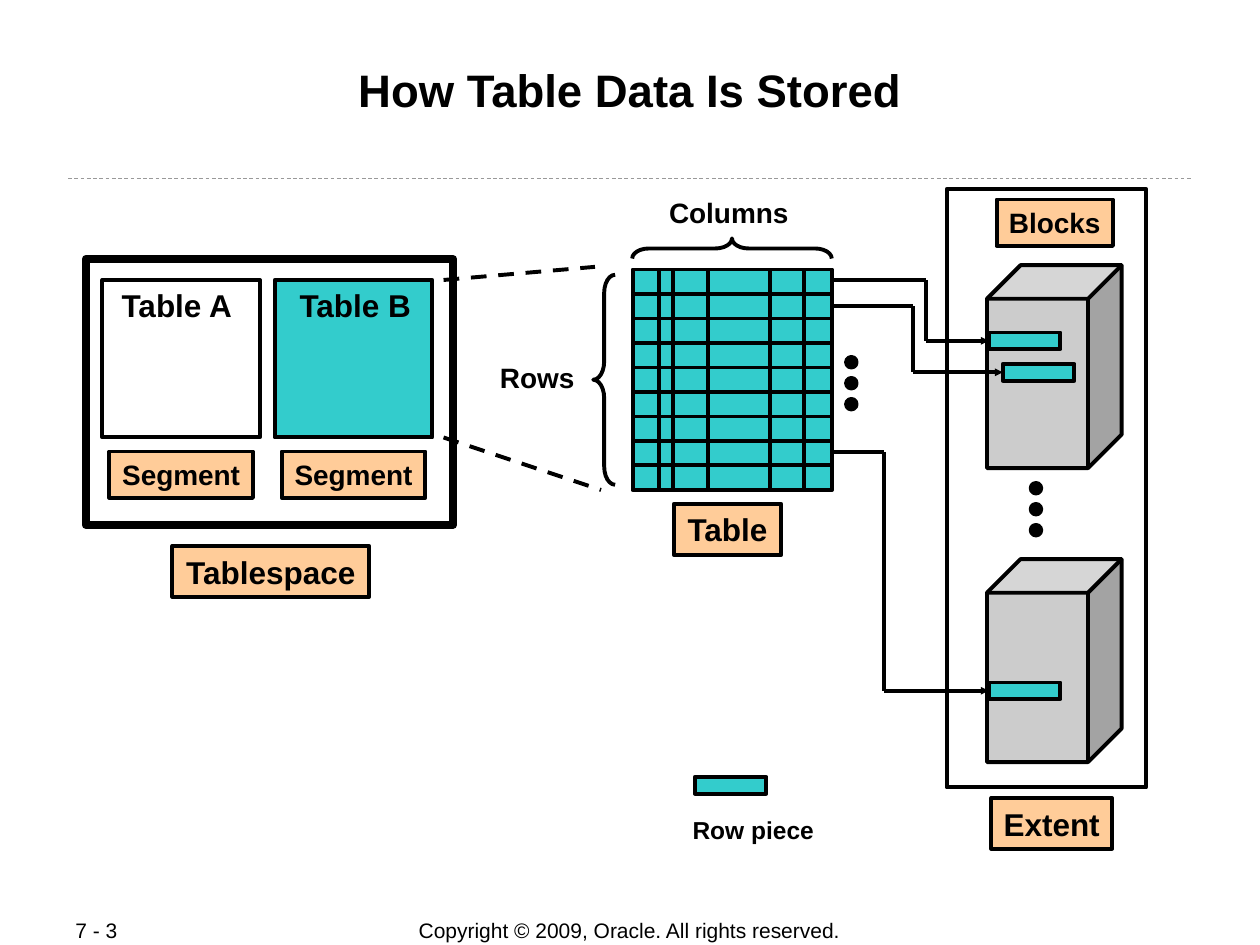
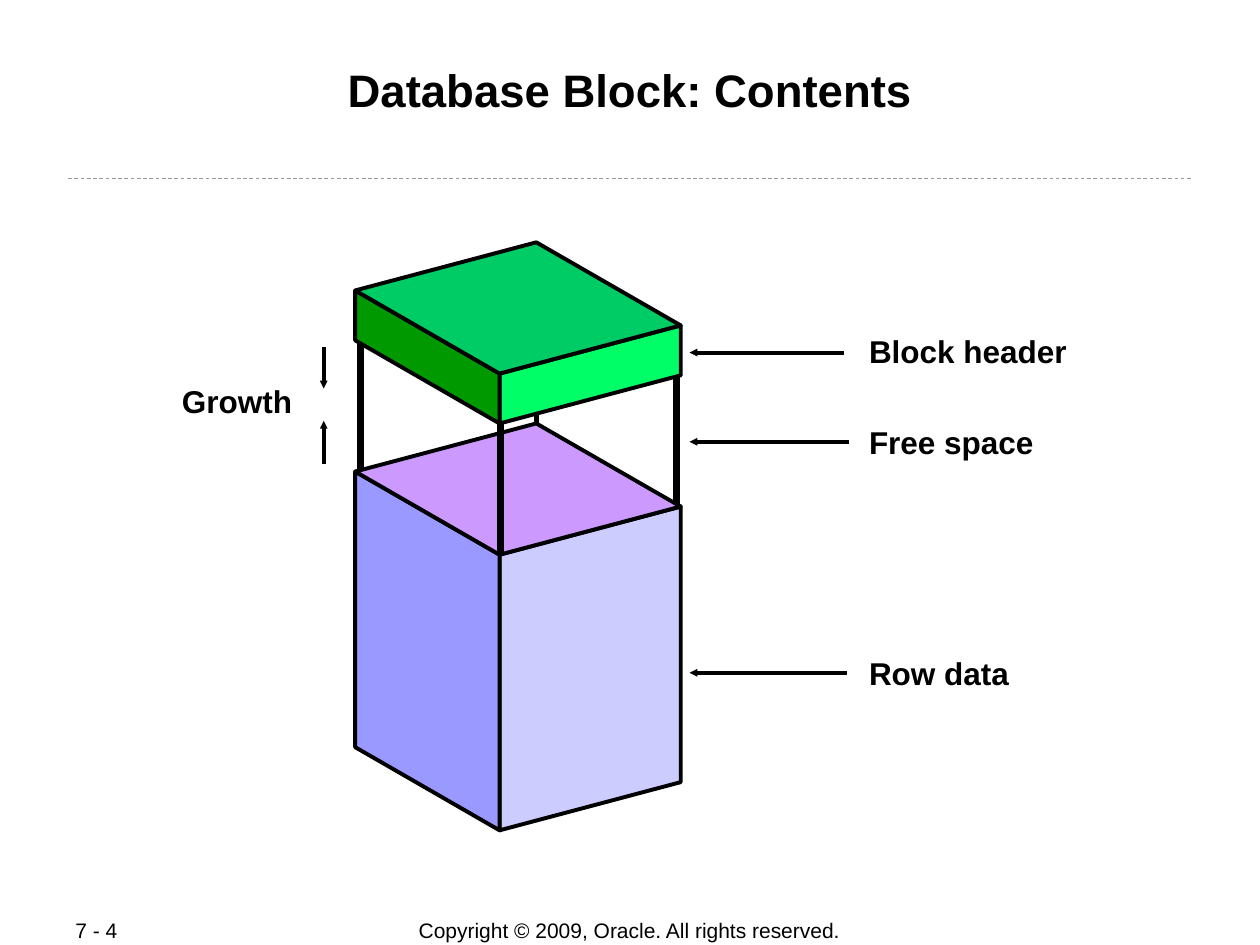
from itertools import pairwise

from lxml import etree
from pptx import Presentation
from pptx.dml.color import RGBColor
from pptx.enum.dml import MSO_LINE
from pptx.enum.shapes import MSO_CONNECTOR, MSO_SHAPE
from pptx.enum.text import MSO_ANCHOR, PP_ALIGN
from pptx.oxml.ns import qn
from pptx.util import Pt

RECTANGLE = MSO_SHAPE.RECTANGLE
OVAL = MSO_SHAPE.OVAL
CUBE = MSO_SHAPE.CUBE
LEFT_BRACE = MSO_SHAPE.LEFT_BRACE
STRAIGHT = MSO_CONNECTOR.STRAIGHT
DASH = MSO_LINE.DASH
LEFT = PP_ALIGN.LEFT
CENTER = PP_ALIGN.CENTER
TOP = MSO_ANCHOR.TOP
MIDDLE = MSO_ANCHOR.MIDDLE
LEFT_SIDE = 1

FONT = "Arial"
BLACK = "000000"
RULE_GREY = "999999"
PEACH = "FFCC99"
TEAL = "33CCCC"
CUBE_GREY = "CCCCCC"
LINE_WIDTH = 2.25
POST_WIDTH = 4
TITLE_ONLY = 5


def color(hex_value):
    return RGBColor.from_string(hex_value)


def write(shape, text, size, bold=True, align=CENTER, anchor=MIDDLE):
    frame = shape.text_frame
    frame.word_wrap = align == LEFT
    frame.vertical_anchor = anchor
    paragraph = frame.paragraphs[0]
    paragraph.alignment = align
    run = paragraph.add_run()
    run.text = text
    run.font.name = FONT
    run.font.size = Pt(size)
    run.font.bold = bold
    run.font.color.rgb = color(BLACK)


def paint(shape, fill=None, width=LINE_WIDTH):
    shape.shadow.inherit = False
    if fill:
        shape.fill.solid()
        shape.fill.fore_color.rgb = color(fill)
    else:
        shape.fill.background()
    shape.line.color.rgb = color(BLACK)
    shape.line.width = Pt(width)


def add_text(slide, box, text, size, **style):
    shape = slide.shapes.add_textbox(*map(Pt, box))
    write(shape, text, size, **style)


def add_box(slide, box, fill=None, kind=RECTANGLE, width=LINE_WIDTH):
    shape = slide.shapes.add_shape(kind, *map(Pt, box))
    paint(shape, fill, width)
    return shape


def add_tag(slide, box, text, size):
    write(add_box(slide, box, PEACH), text, size)


def add_line(slide, start, end, width=LINE_WIDTH, line_color=BLACK, dash=None, arrow=False):
    connector = slide.shapes.add_connector(STRAIGHT, *map(Pt, (*start, *end)))
    connector.line.color.rgb = color(line_color)
    connector.line.width = Pt(width)
    if dash:
        connector.line.dash_style = dash
    properties = connector._element.spPr
    if arrow:
        outline = properties.find(qn("a:ln"))
        etree.SubElement(outline, qn("a:tailEnd"), type="triangle", w="sm", len="sm")
    etree.SubElement(properties, qn("a:effectLst"))
    return connector


def add_brace(slide, box, rotation=0):
    brace = add_box(slide, box, kind=LEFT_BRACE)
    brace.adjustments[0] = 0.83
    brace.rotation = rotation


def add_dots(slide, left, top):
    for index in range(3):
        add_box(slide, (left, top + 12 * index, 6, 6), BLACK, OVAL)


def add_row_piece(slide, left, top):
    return add_box(slide, (left, top, 41, 9.5), TEAL)


def add_row_route(slide, start, turn, piece):
    target = piece.left.pt, (piece.top + piece.height / 2) / Pt(1)
    points = [start, (turn, start[1]), (turn, target[1]), target]
    lines = [add_line(slide, *ends, arrow=ends[1] is target) for ends in pairwise(points)]
    lines[-1].end_connect(piece, LEFT_SIDE)


def add_grid(slide, left, top, width, row_height, row_count, column_offsets):
    bottom = top + row_height * row_count
    add_box(slide, (left, top, width, bottom - top), TEAL)
    for row in range(1, row_count):
        y = top + row * row_height
        add_line(slide, (left, y), (left + width, y))
    for offset in column_offsets:
        add_line(slide, (left + offset, top), (left + offset, bottom))


def add_face(slide, points, fill):
    start, *others = [(Pt(x), Pt(y)) for x, y in points]
    builder = slide.shapes.build_freeform(*start)
    builder.add_line_segments(others, close=True)
    paint(builder.convert_to_shape(), fill)


def add_prism(slide, left, top, height, right_fill, left_fill, top_fill):
    west = (left, top)
    north = (left + 103.5, top - 27.5)
    east = (left + 186, top + 20)
    south = (left + 82.5, top + 47.5)

    def lowered(point):
        return point[0], point[1] + height

    add_face(slide, [east, lowered(east), lowered(south), south], right_fill)
    add_face(slide, [west, lowered(west), lowered(south), south], left_fill)
    add_face(slide, [west, north, east, south], top_fill)


def add_post(slide, x, top, bottom, width=POST_WIDTH):
    add_line(slide, (x, top), (x, bottom), width)


def add_slide(presentation, title_text, page):
    slide = presentation.slides.add_slide(presentation.slide_layouts[TITLE_ONLY])
    title = slide.shapes.title
    title.left, title.top, title.width, title.height = map(Pt, (48, 34.5, 624, 69))
    frame = title.text_frame
    frame.margin_left = frame.margin_right = frame.margin_top = frame.margin_bottom = Pt(1)
    write(title, title_text, 26, anchor=TOP)
    add_line(slide, (39, 102), (681, 102), 0.5, RULE_GREY, DASH)
    add_text(slide, (198, 524, 323.5, 15), "Copyright © 2009, Oracle. All rights reserved.", 12, bold=False)
    add_text(slide, (36, 524, 76, 15), page, 12, bold=False, align=LEFT)
    return slide


def build_storage_slide(presentation):
    slide = add_slide(presentation, "How Table Data Is Stored", "7 - 3")

    add_box(slide, (49, 148, 210, 152), width=4.5)
    tables = (
        ("Table A", 58.5, 56, None),
        ("Table B", 157, 158, TEAL),
    )
    for name, left, name_left, fill in tables:
        add_box(slide, (left, 160, 90, 90), fill)
        add_text(slide, (name_left, 160, 90, 29), name, 18)
        add_tag(slide, (left + 4, 258, 82, 26.5), "Segment", 16)
    add_tag(slide, (98.5, 312, 112.5, 29), "Tablespace", 18)

    add_line(slide, (253.5, 160), (340, 152.5), dash=DASH)
    add_line(slide, (253.5, 250), (343.5, 280), dash=DASH)

    add_grid(slide, 361.5, 154, 114, 14, 9, (15, 23, 43, 78.5, 98))
    add_brace(slide, (339, 157, 12.5, 120))
    add_brace(slide, (412.5, 85, 11.5, 114), rotation=90)
    add_text(slide, (271, 202.5, 72, 26.5), "Rows", 16)
    add_text(slide, (366.5, 108, 100, 26.5), "Columns", 16)
    add_tag(slide, (385, 288, 61.5, 29), "Table", 18)
    add_dots(slide, 483.5, 204)

    for top in (151.5, 319.5):
        add_box(slide, (564, top, 77, 116), CUBE_GREY, CUBE)
    add_dots(slide, 589, 276)
    routes = (
        ((565, 190), 160, 529),
        ((573, 208), 175, 521.5),
        ((565, 390), 258.5, 505),
    )
    for piece_position, row_y, turn in routes:
        piece = add_row_piece(slide, *piece_position)
        add_row_route(slide, (475.5, row_y), turn, piece)
    add_box(slide, (541, 108, 114, 342))
    add_tag(slide, (569.5, 114, 66.5, 26.5), "Blocks", 16)
    add_tag(slide, (566.5, 456, 69, 29), "Extent", 18)

    add_row_piece(slide, 397, 444)
    add_text(slide, (380.5, 462, 100, 24.5), "Row piece", 14)


def build_block_slide(presentation):
    slide = add_slide(presentation, "Database Block: Contents", "7 - 4")

    add_post(slide, 206, 193, 270)
    add_post(slide, 386.5, 214.5, 289)
    add_prism(slide, 203, 269.5, 157.5, "CCCCFF", "9999FF", "CC99FF")
    add_post(slide, 286, 240.5, 317)
    add_post(slide, 306.5, 189.5, 243, 3)
    add_prism(slide, 203, 166, 28.5, "00FF66", "009900", "00CC66")

    callouts = (
        ("Block header", 186.5, 201.5, 482.5),
        ("Free space", 238.5, 252.5, 485),
        ("Row data", 370.5, 384.5, 484),
    )
    for text, top, arrow_y, arrow_start in callouts:
        add_text(slide, (489.5, top, 132, 28), text, 18, align=LEFT)
        add_line(slide, (arrow_start, arrow_y), (394, arrow_y), arrow=True)

    add_text(slide, (85.5, 214.5, 100, 29), "Growth", 18)
    for start, end in ((198, 222), (265, 240.5)):
        add_line(slide, (185, start), (185, end), arrow=True)


def main():
    presentation = Presentation()
    presentation.slide_width = Pt(720)
    presentation.slide_height = Pt(540)
    build_storage_slide(presentation)
    build_block_slide(presentation)
    presentation.save("out.pptx")


if __name__ == "__main__":
    main()
